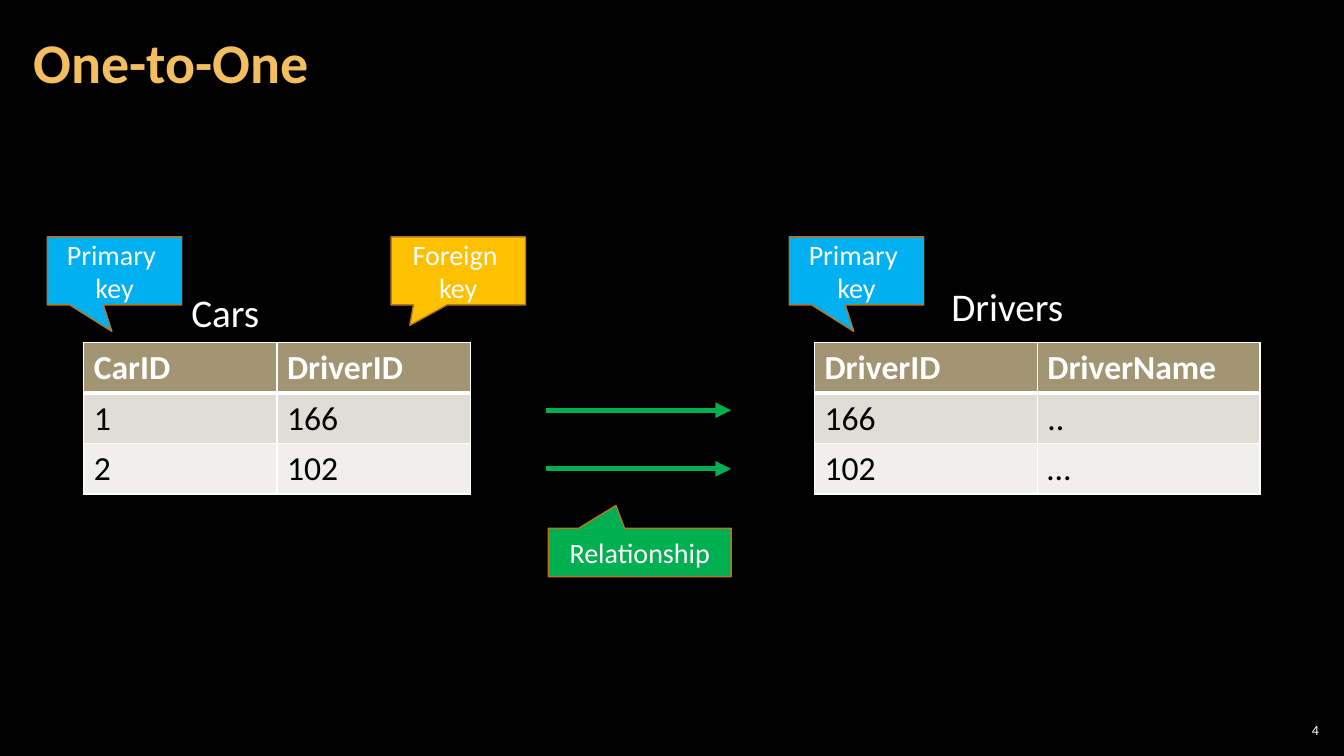
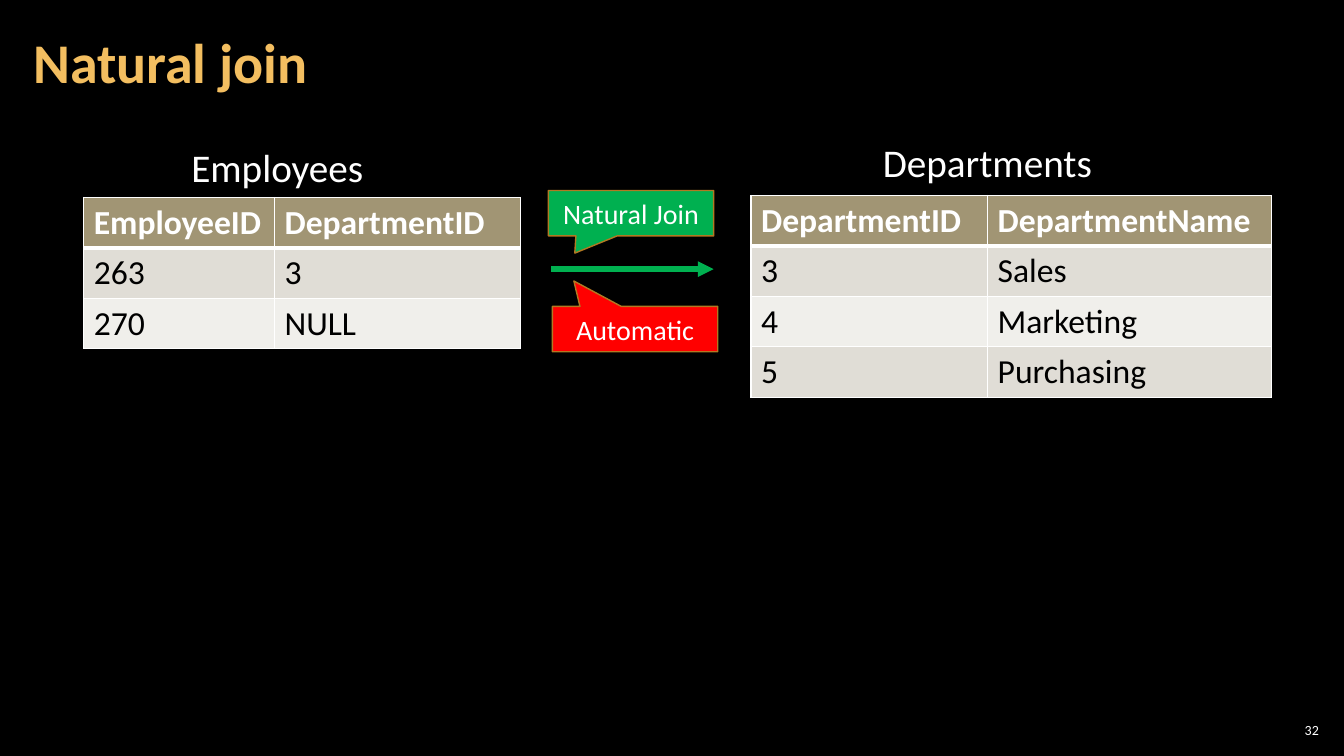
from typing import NamedTuple

from lxml import etree
from pptx import Presentation
from pptx.dml.color import RGBColor
from pptx.enum.shapes import MSO_CONNECTOR, MSO_SHAPE
from pptx.enum.text import MSO_ANCHOR, PP_ALIGN
from pptx.oxml.ns import qn
from pptx.util import Inches, Pt

STRAIGHT = MSO_CONNECTOR.STRAIGHT
CALLOUT = MSO_SHAPE.RECTANGULAR_CALLOUT
MIDDLE = MSO_ANCHOR.MIDDLE
LEFT, CENTER, RIGHT = PP_ALIGN.LEFT, PP_ALIGN.CENTER, PP_ALIGN.RIGHT

FONT = "Calibri"
COLORS = {
    "background": "000000", "title": "F3BE60", "light": "FFFFFF", "dark": "000000",
    "header": "A19574", "odd": "E0DDD6", "even": "F0EFEB", "outline": "B27822",
    "primary": "00B0F0", "foreign": "FFC000", "relation": "00B050", "automatic": "FF0000",
}
WIDTH, HEIGHT = Inches(13.33), Inches(7.5)
COLUMN, ROW = WIDTH / 100, HEIGHT / 100
TABLE_ROW = 6.67
KEY_SIZE = (10, 9)
KEY_RISE = 14
PRIMARY_TAIL = (-0.02, 0.89)
FOREIGN_TAIL = (-0.36, 0.8)


class Box(NamedTuple):
    left: float
    top: float
    width: float
    height: float

    def inner(self, dx, dy, width, height):
        return Box(self.left + dx, self.top + dy, width, height)

    def emu(self):
        return (round(self.left * COLUMN), round(self.top * ROW),
                round(self.width * COLUMN), round(self.height * ROW))


def rgb(name):
    return RGBColor.from_string(COLORS[name])


def write(frame, text, size, color="light", bold=False, align=LEFT):
    frame.text = text
    paragraph = frame.paragraphs[0]
    paragraph.alignment = align
    for run in paragraph.runs:
        run.font.name, run.font.size, run.font.bold = FONT, Pt(size), bold
        run.font.color.rgb = rgb(color)
    return paragraph


def add_text(slide, box, text, size, wrap=True, **style):
    frame = slide.shapes.add_textbox(*box.emu()).text_frame
    frame.word_wrap = wrap
    return frame, write(frame, text, size, **style)


def add_callout(slide, box, text, color, tail):
    callout = slide.shapes.add_shape(CALLOUT, *box.emu())
    callout.shadow.inherit = False
    callout.adjustments[0], callout.adjustments[1] = tail
    callout.fill.solid()
    callout.fill.fore_color.rgb = rgb(color)
    callout.line.color.rgb = rgb("outline")
    callout.line.width = Pt(1)
    callout.text_frame.vertical_anchor = MIDDLE
    write(callout.text_frame, text, 20, align=CENTER)


def add_arrow(slide, box):
    left, top, width, _ = box.emu()
    arrow = slide.shapes.add_connector(STRAIGHT, left, top, left + width, top)
    arrow.line.color.rgb = rgb("relation")
    arrow.line.width = Pt(3.75)
    properties = arrow._element.spPr
    etree.SubElement(properties.find(qn("a:ln")), qn("a:tailEnd"), type="triangle")
    etree.SubElement(properties, qn("a:effectLst"))


def set_borders(cell, row):
    weights = {"lnL": 1, "lnR": 1, "lnT": 3 if row == 1 else 1, "lnB": 3 if row == 0 else 1}
    properties = cell._tc.get_or_add_tcPr()
    for side, weight in weights.items():
        border = etree.SubElement(properties, qn(f"a:{side}"), w=str(Pt(weight)))
        fill = etree.SubElement(border, qn("a:solidFill"))
        etree.SubElement(fill, qn("a:srgbClr"), val=COLORS["light"])


def add_records(slide, box, widths, records):
    table = slide.shapes.add_table(len(records), len(widths), *box.emu()).table
    for column, width in zip(table.columns, widths):
        column.width = round(width * COLUMN)
    for i, record in enumerate(records):
        header = i == 0
        for j, value in enumerate(record):
            cell = table.cell(i, j)
            set_borders(cell, i)
            cell.fill.solid()
            cell.fill.fore_color.rgb = rgb("header" if header else "odd" if i % 2 else "even")
            write(cell.text_frame, value, 24, "light" if header else "dark", header)


def add_entity(slide, origin, widths, name, name_box, records, keys=()):
    box = Box(*origin, sum(widths), TABLE_ROW * len(records))
    add_records(slide, box, widths, records)
    dx, rise, width = name_box
    add_text(slide, box.inner(dx, -rise, width, 7.6), name, 28, wrap=False)
    for text, color, offset, tail in keys:
        add_callout(slide, box.inner(offset, -KEY_RISE, *KEY_SIZE), text, color, tail)


def add_link(slide, box, arrows, callouts):
    for i in range(arrows):
        add_arrow(slide, box.inner(0, i * box.height, box.width, 0))
    for text, color, place, tail in callouts:
        add_callout(slide, box.inner(*place), text, color, tail)


def add_base(deck, title, number):
    slide = deck.slides.add_slide(deck.slide_layouts[6])
    slide.background.fill.solid()
    slide.background.fill.fore_color.rgb = rgb("background")
    frame, _ = add_text(slide, Box(94.9, 95.2, 3.53, 2.8), number, 10, align=RIGHT)
    frame.vertical_anchor = MIDDLE
    frame.margin_left = frame.margin_right = Inches(0.04)
    frame.margin_top = frame.margin_bottom = Inches(0.04)
    frame, heading = add_text(slide, Box(1.58, 0.53, 78.5, 16.13), title, 40,
                              color="title", bold=True)
    frame.vertical_anchor = MIDDLE
    frame.margin_left = frame.margin_right = Inches(0.12)
    frame.margin_top = frame.margin_bottom = Inches(0.04)
    heading.line_spacing = 0.9
    return slide


def one_to_one(deck):
    slide = add_base(deck, "One-to-One", "4")
    add_entity(slide, (6.23, 45.33), (14.38, 14.38), "Cars", (7.27, 7.87, 6.6),
               [("CarID", "DriverID"), ("1", "166"), ("2", "102")],
               [("Primary \vkey", "primary", -2.7, PRIMARY_TAIL),
                ("Foreign \vkey", "foreign", 22.87, FOREIGN_TAIL)])
    add_entity(slide, (60.6, 45.33), (16.58, 16.58), "Drivers", (9.45, 8.67, 9.9),
               [("DriverID", "DriverName"), ("166", ".."), ("102", "…")],
               [("Primary \vkey", "primary", -1.87, PRIMARY_TAIL)])
    add_link(slide, Box(40.6, 54.27, 13.8, 7.75), 2,
             [("Relationship", "relation", (0.2, 15.6, 13.6, 6.4), (-0.13, -0.97))])


def natural_join(deck):
    slide = add_base(deck, "Natural join", "32")
    add_entity(slide, (6.23, 26.13), (14.2, 18.3), "Employees", (7.27, 7.87, 14.4),
               [("EmployeeID", "DepartmentID"), ("263", "3"), ("270", "NULL")])
    add_entity(slide, (55.88, 25.87), (17.6, 21.13), "Departments", (9.07, 8.27, 17.25),
               [("DepartmentID", "DepartmentName"), ("3", "Sales"),
                ("4", "Marketing"), ("5", "Purchasing")])
    add_link(slide, Box(41, 35.6, 12.1, 0), 1,
             [("Natural Join", "relation", (-0.2, -10.4, 12.3, 6), (-0.34, 0.88)),
              ("Automatic", "automatic", (0.1, 4.93, 12.3, 6), (-0.37, -1.06))])


def main():
    deck = Presentation()
    deck.slide_width, deck.slide_height = WIDTH, HEIGHT
    one_to_one(deck)
    natural_join(deck)
    deck.save("out.pptx")


if __name__ == "__main__":
    main()
